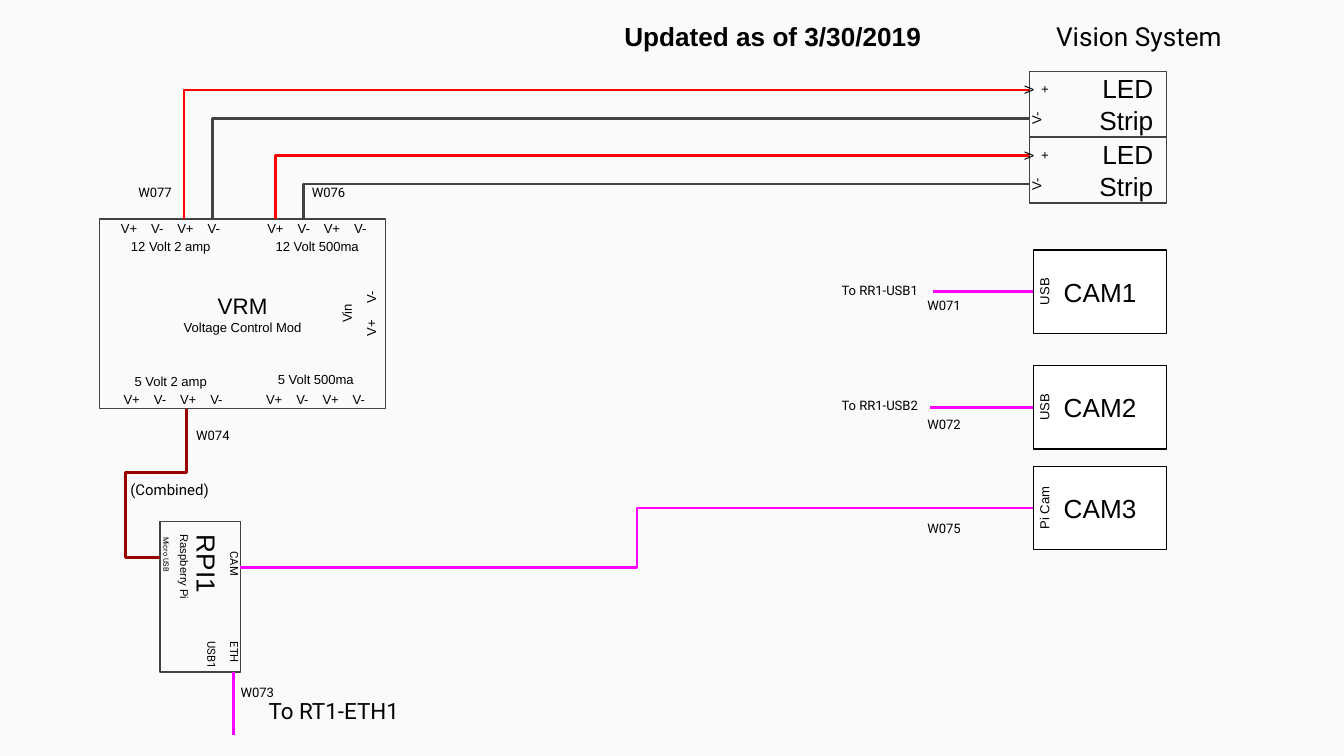
from dataclasses import dataclass

import pptx
import pptx.dml.color
import pptx.enum.shapes
import pptx.enum.text
import pptx.oxml
import pptx.oxml.ns
import pptx.util

Inches = pptx.util.Inches
ALIGN = pptx.enum.text.PP_ALIGN
ANCHOR = pptx.enum.text.MSO_ANCHOR


@dataclass(frozen=True)
class Theme:
    background: str = "FAFAFA"
    text: str = "000000"
    outline: str = "424242"
    camera: str = "FFFFFF"
    positive: str = "FF0000"
    ground: str = "424242"
    power: str = "980000"
    data: str = "FF00FF"
    diagram: str = "Arial"
    label: str = "Roboto"
    heading: float = 14
    device: float = 12
    note: float = 8
    pin: float = 7
    port: float = 6
    tiny: float = 4
    box_line: float = 0.75
    wire: float = 1.5


T = Theme()


def rgb(value):
    return pptx.dml.color.RGBColor.from_string(value)


def write(sp, lines, font, align=ALIGN.LEFT, anchor=ANCHOR.TOP, inset=0, bold=False):
    """Fill a shape with (text, size) paragraphs; inset is one number or left, top, right, bottom."""
    insets = inset if isinstance(inset, tuple) else (inset,) * 4
    tf = sp.text_frame
    frame = {"word_wrap": True, "vertical_anchor": anchor,
             "auto_size": pptx.enum.text.MSO_AUTO_SIZE.NONE}
    for side, value in zip(("left", "top", "right", "bottom"), insets):
        frame["margin_" + side] = Inches(value)
    for name, value in frame.items():
        setattr(tf, name, value)
    for i, (text, size) in enumerate(lines):
        p = tf.paragraphs[0] if i == 0 else tf.add_paragraph()
        p.alignment = align
        r = p.add_run()
        r.text = text
        for name, value in {"name": font, "size": pptx.util.Pt(size), "bold": bold}.items():
            setattr(r.font, name, value)
        r.font.color.rgb = rgb(T.text)


def add_label(shapes, text, x, y, w, h, size=T.pin, font=T.label, rotation=0, **fmt):
    sp = shapes.add_textbox(Inches(x), Inches(y), Inches(w), Inches(h))
    sp.rotation = rotation
    write(sp, [(text, size)], font, **fmt)


def add_pin(shapes, text, cx, cy, w=0.18, h=0.14, rotation=0, inset=0):
    """Centre a small label on a point."""
    add_label(shapes, text, cx - w / 2, cy - h / 2, w, h, font=T.diagram, rotation=rotation,
              align=ALIGN.CENTER, anchor=ANCHOR.MIDDLE, inset=inset)


def add_box(shapes, lines, x, y, w, h, fill=None, line=T.outline, align=ALIGN.CENTER, rotation=0):
    sp = shapes.add_shape(pptx.enum.shapes.MSO_SHAPE.RECTANGLE,
                          Inches(x), Inches(y), Inches(w), Inches(h))
    sp.shadow.inherit = False
    sp.rotation = rotation
    if fill:
        sp.fill.solid()
        sp.fill.fore_color.rgb = rgb(fill)
    else:
        sp.fill.background()
    sp.line.color.rgb = rgb(line)
    sp.line.width = pptx.util.Pt(T.box_line)
    write(sp, lines, T.diagram, align, ANCHOR.MIDDLE, 0.1)


def add_wire(s, start, end, color, preset="line", adjust=()):
    c = s.shapes.add_connector(pptx.enum.shapes.MSO_CONNECTOR.STRAIGHT,
                               *(Inches(v) for v in (*start, *end)))
    c.line.color.rgb = rgb(color)
    c.line.width = pptx.util.Pt(T.wire)
    props = c._element.spPr
    geometry = props.find(pptx.oxml.ns.qn("a:prstGeom"))
    geometry.set("prst", preset)
    guides = geometry.find(pptx.oxml.ns.qn("a:avLst"))
    ns = pptx.oxml.ns.nsdecls("a")
    for i, value in enumerate(adjust, 1):
        guides.append(pptx.oxml.parse_xml(
            f'<a:gd {ns} name="adj{i}" fmla="val {round(value * 100000)}"/>'))
    props.append(pptx.oxml.parse_xml(f"<a:effectLst {ns}/>"))


def add_headings(s):
    title = s.shapes.title
    box = {"left": 6.95, "top": 0.05, "width": 3.05, "height": 0.36}
    for name, value in box.items():
        setattr(title, name, Inches(value))
    write(title, [("Vision System", T.heading)], T.label, ALIGN.CENTER, inset=0.1)
    add_label(s.shapes, "Updated as of 3/30/2019", 4.49, 0.05, 2.52, 0.36, T.heading,
              T.diagram, align=ALIGN.CENTER, inset=0.1, bold=True)


def add_regulator(s, x, y, w, h):
    g = s.shapes.add_group_shape().shapes
    add_box(g, [("VRM", T.device), ("Voltage Control Mod", T.pin)], x, y, w, h)
    # caption, caption centre, first pin centre, pin row
    outputs = [("12 Volt 2 amp", (0.53, 0.2), 0.22, 0.07),
               ("12 Volt 500ma", (1.62, 0.2), 1.31, 0.07),
               ("5 Volt 2 amp", (0.53, 1.21), 0.24, 1.34),
               ("5 Volt 500ma", (1.61, 1.19), 1.3, 1.34)]
    for caption, (cx, cy), first, row in outputs:
        add_pin(g, caption, x + cx, y + cy, w=0.64)
        for i, pin in enumerate(("V+", "V-") * 2):
            add_pin(g, pin, x + first + 0.21 * i, y + row)
    for text, cx, cy in (("Vin", 1.84, 0.7), ("V+", 2.02, 0.81), ("V-", 2.02, 0.58)):
        add_pin(g, text, x + cx, y + cy, w=0.27, h=0.19, rotation=270)


def add_computer(s, x, y, w, h):
    """Place the board, turned a quarter to the right, in the upright box given."""
    g = s.shapes.add_group_shape().shapes
    add_box(g, [("RPI1", T.heading), ("Raspberry Pi", T.port)],
            x + (w - h) / 2, y + (h - w) / 2, h, w, align=ALIGN.LEFT, rotation=90)
    ports = [("ETH", 0.44, 0.96, 0.23, 0.1, T.port),
             ("USB1", 0.27, 0.96, 0.23, 0.1, T.port),
             ("CAM", 0.44, 0.29, 0.23, 0.1, T.port),
             ("Micro USB", -0.11, 0.23, 0.3, 0.08, T.tiny)]
    for text, dx, dy, pw, ph, size in ports:
        add_label(g, text, x + dx, y + dy, pw, ph, size, rotation=90, inset=(0, 0, 0.02, 0))


def add_led_strip(s, x, y, w, h):
    g = s.shapes.add_group_shape().shapes
    add_box(g, [("LED Strip", T.heading)], x, y, w, h, align=ALIGN.RIGHT)
    for pin, cy in (("V+", 0.14), ("V-", 0.35)):
        add_pin(g, pin, x + 0.05, y + cy, w=0.17, h=0.11, rotation=270, inset=(0.03, 0, 0.03, 0))


def add_camera(s, name, port, x, y, w, h):
    g = s.shapes.add_group_shape().shapes
    add_box(g, [(name, T.heading)], x, y, w, h, T.camera, T.text)
    add_pin(g, port, x + 0.08, y + h / 2, w=0.36, h=0.15, rotation=270)


def add_wires(s):
    led_wires = [(0.88, 1.58, T.ground), (0.67, 1.37, T.positive),
                 (1.37, 2.26, T.ground), (1.16, 2.05, T.positive)]
    for y, x, color in led_wires:
        add_wire(s, (7.66, y), (x, 1.63), color, "bentConnector2")
    add_wire(s, (1.19, 4.15), (1.39, 3.04), T.power, "bentConnector4", (-1.29, 0.57))
    add_wire(s, (7.69, 2.17), (6.94, 2.17), T.data)
    add_wire(s, (7.69, 3.03), (6.92, 3.03), T.data)
    add_wire(s, (7.69, 3.78), (1.79, 4.22), T.data, "bentConnector3", (0.5,))
    add_wire(s, (1.74, 5), (1.74, 5.47), T.data)


def add_wire_labels(s):
    tags = [("W071", 6.9, 2.21), ("W072", 6.9, 3.1), ("W073", 1.79, 5.09), ("W074", 1.46, 3.18),
            ("W075", 6.9, 3.87), ("W076", 2.32, 1.37), ("W077", 1.03, 1.37)]
    for text, x, y in tags:
        add_label(s.shapes, text, x, y, 0.4, 0.16)
    for text, y in ((" To RR1-USB1", 2.1), (" To RR1-USB2", 2.96)):
        add_label(s.shapes, text, 6.24, y, 0.61, 0.14)
    add_label(s.shapes, "(Combined)", 0.97, 3.58, 0.6, 0.16, T.note)
    add_label(s.shapes, "To RT1-ETH1", 1.9, 5.09, 1.26, 0.44, T.device, inset=0.1)


def main():
    prs = pptx.Presentation()
    prs.slide_width = Inches(10)
    prs.slide_height = prs.slide_width * 9 // 16
    s = prs.slides.add_slide(prs.slide_layouts[5])
    s.background.fill.solid()
    s.background.fill.fore_color.rgb = rgb(T.background)
    add_headings(s)
    add_regulator(s, 0.74, 1.63, 2.13, 1.41)
    add_computer(s, 1.19, 3.88, 0.6, 1.12)
    add_wires(s)
    for i in range(2):
        add_led_strip(s, 7.66, 0.53 + 0.49 * i, 1.02, 0.49)
    for name, port, y in (("CAM1", "USB", 1.86), ("CAM2", "USB", 2.72), ("CAM3", "Pi Cam", 3.47)):
        add_camera(s, name, port, 7.69, y, 0.99, 0.62)
    add_wire_labels(s)
    prs.save("out.pptx")


if __name__ == "__main__":
    main()
